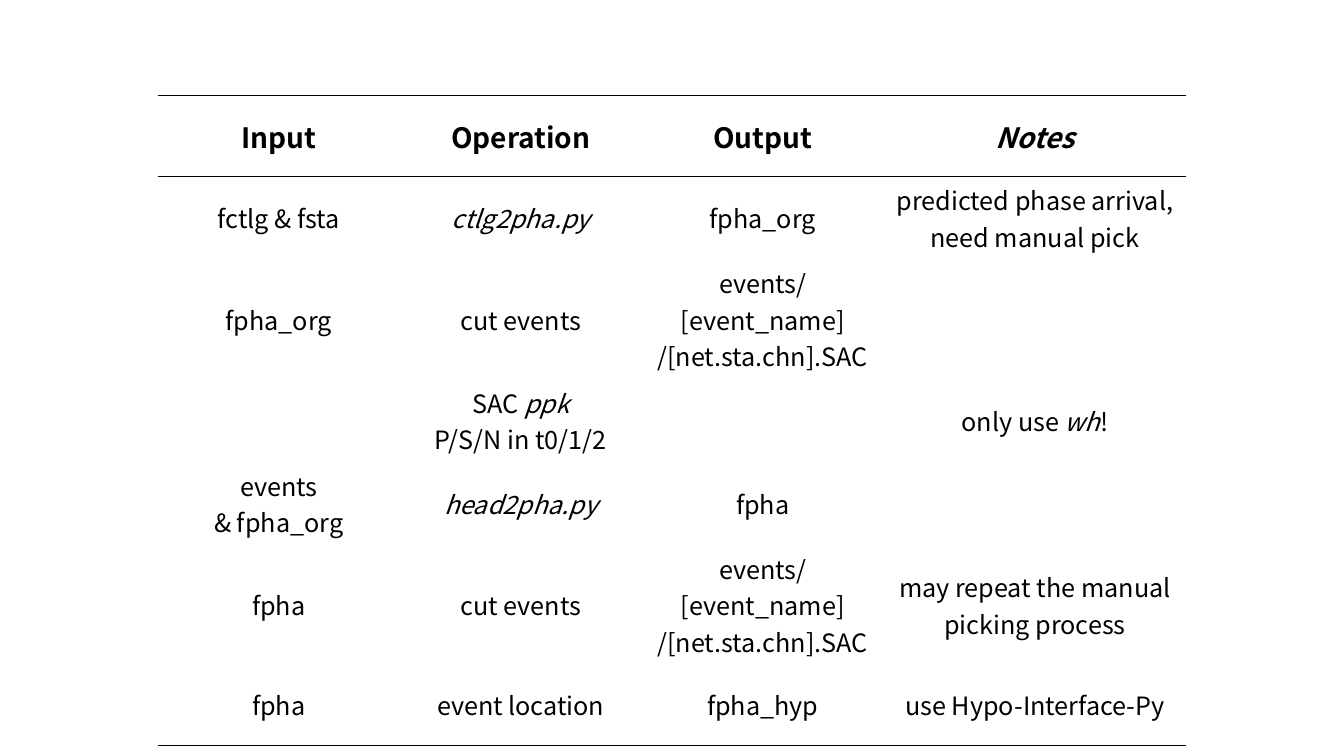
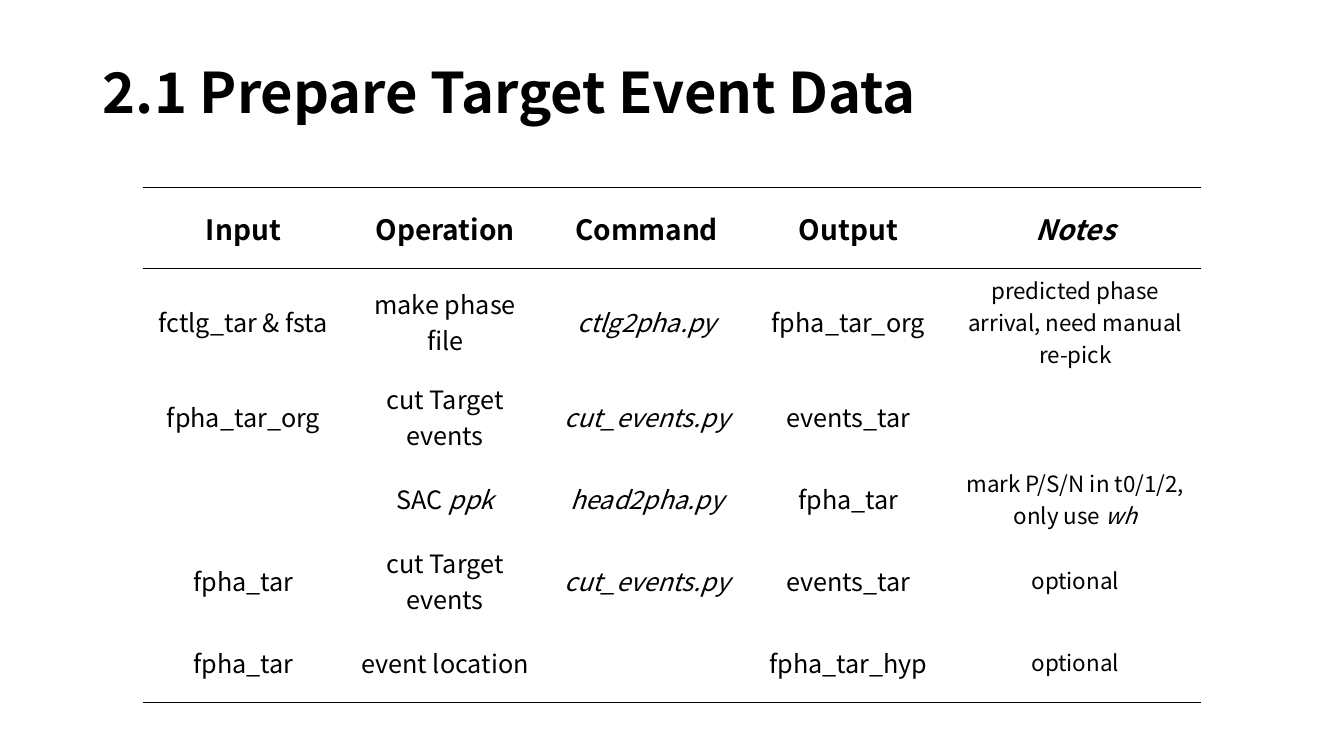
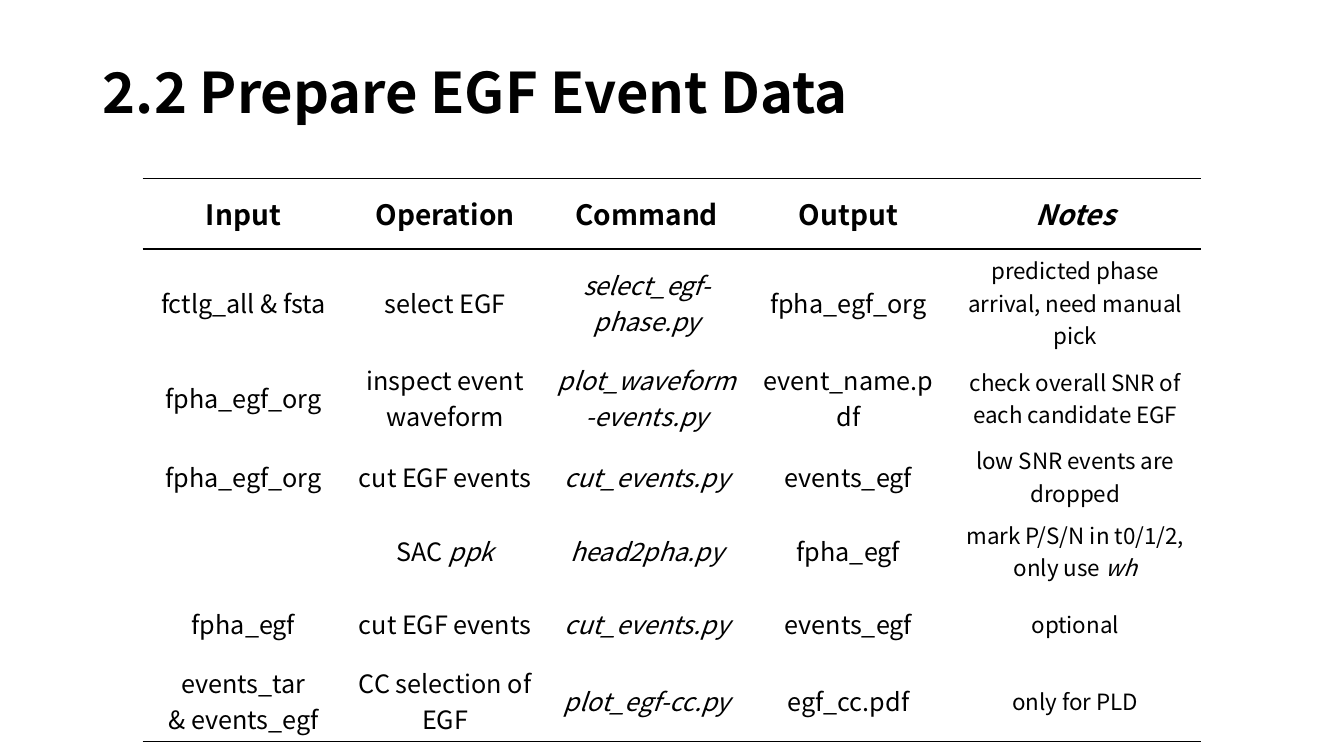
from pptx import Presentation
from pptx import util as u
from pptx.dml.color import RGBColor
from pptx.enum import text
from pptx.oxml import ns, xmlchemy

BLACK = RGBColor(0x00, 0x00, 0x00)
FONT = "Noto Sans CJK SC"
WIDTH, HEIGHT = 13.33, 7.5
TITLE_BOX = (0.92, 0.4, 11.5, 1.1)
TITLE_LAYOUT, BLANK_LAYOUT = 5, 6
TITLE_SIZE, HEAD_SIZE, BODY_SIZE = 40, 20, 18
RULE_WIDTH = u.Pt(1)

# Asterisks enclose italic words; a line break starts a new paragraph.
SLIDES = [
    {
        "title": None,
        "top": 0.95,
        "columns": [2.4, 2.4, 2.4, 3],
        "row_height": 0.8,
        "note_size": 18,
        "rows": [
            ("Input", "Operation", "Output", "*Notes*"),
            ("fctlg & fsta", "*ctlg2pha.py*", "fpha_org",
             "predicted phase arrival, need manual pick"),
            ("fpha_org", "cut events", "events/[event_name]\n/[net.sta.chn].SAC", ""),
            ("", "SAC *ppk*\nP/S/N in t0/1/2", "", "only use *wh*!"),
            ("events\n& fpha_org", "*head2pha.py*", "fpha", ""),
            ("fpha", "cut events", "events/[event_name]\n/[net.sta.chn].SAC",
             "may repeat the manual picking process"),
            ("fpha", "event location", "fpha_hyp", "use Hypo-Interface-Py"),
        ],
    },
    {
        "title": "2.1 Prepare Target Event Data",
        "top": 1.86,
        "columns": [2, 2, 2, 2, 2.5],
        "row_height": 0.8,
        "note_size": 16,
        "rows": [
            ("Input", "Operation", "Command", "Output", "*Notes*"),
            ("fctlg_tar & fsta", "make phase file", "*ctlg2pha.py*", "fpha_tar_org",
             "predicted phase arrival, need manual re-pick"),
            ("fpha_tar_org", "cut Target events", "*cut_events.py*", "events_tar", ""),
            ("", "SAC *ppk*", "*head2pha.py*", "fpha_tar",
             "mark P/S/N in t0/1/2,\nonly use *wh*"),
            ("fpha_tar", "cut Target events", "*cut_events.py*", "events_tar", "optional"),
            ("fpha_tar", "event location", "", "fpha_tar_hyp", "optional"),
        ],
    },
    {
        "title": "2.2 Prepare EGF Event Data",
        "top": 1.77,
        "columns": [2, 2, 2, 2, 2.5],
        "row_height": 0.7,
        "note_size": 16,
        "rows": [
            ("Input", "Operation", "Command", "Output", "*Notes*"),
            ("fctlg_all & fsta", "select EGF", "*select_egf-phase.py*", "fpha_egf_org",
             "predicted phase arrival, need manual pick"),
            ("fpha_egf_org", "inspect event waveform", "*plot_waveform-events.py*",
             "event_name.pdf", "check overall SNR of each candidate EGF"),
            ("fpha_egf_org", "cut EGF events", "*cut_events.py*", "events_egf",
             "low SNR events are dropped"),
            ("", "SAC *ppk*", "*head2pha.py*", "fpha_egf",
             "mark P/S/N in t0/1/2,\nonly use *wh*"),
            ("fpha_egf", "cut EGF events", "*cut_events.py*", "events_egf", "optional"),
            ("events_tar\n& events_egf", "CC selection of EGF", "*plot_egf-cc.py*",
             "egf_cc.pdf", "only for PLD"),
        ],
    },
]


def set_values(target, values):
    for name, value in values.items():
        setattr(target, name, value)


def write_text(frame, content, size, bold, para_format):
    for number, line in enumerate(content.split("\n")):
        para = frame.add_paragraph() if number else frame.paragraphs[0]
        set_values(para, para_format)
        set_values(para.font, {"size": u.Pt(size)})
        for part, words in enumerate(line.split("*")):
            if words:
                span = para.add_run()
                span.text = words
                set_values(span.font, {"name": FONT, "size": u.Pt(size),
                                       "bold": bold, "italic": part % 2 == 1})
                span.font.color.rgb = BLACK


def set_borders(cell, ruled_sides):
    properties = cell._tc.get_or_add_tcPr()
    for side in "LRTB":
        line = xmlchemy.OxmlElement(f"a:ln{side}")
        line.set("w", str(int(RULE_WIDTH)))
        if side in ruled_sides:
            fill = xmlchemy.OxmlElement("a:solidFill")
            color = xmlchemy.OxmlElement("a:srgbClr")
            color.set("val", str(BLACK))
            fill.append(color)
        else:
            fill = xmlchemy.OxmlElement("a:noFill")
        line.append(fill)
        properties.append(line)


def add_title(page, content):
    title = page.shapes.title
    set_values(title, dict(zip(("left", "top", "width", "height"),
                               map(u.Inches, TITLE_BOX))))
    set_values(title.text_frame, {"word_wrap": True,
                                  "auto_size": text.MSO_AUTO_SIZE.NONE,
                                  "vertical_anchor": text.MSO_ANCHOR.MIDDLE})
    write_text(title.text_frame, content, TITLE_SIZE, True,
               {"alignment": text.PP_ALIGN.LEFT, "line_spacing": 0.9})


def add_steps(page, slide):
    rows, columns = slide["rows"], slide["columns"]
    width = sum(columns)
    frame = page.shapes.add_table(
        len(rows), len(columns), u.Inches((WIDTH - width) / 2), u.Inches(slide["top"]),
        u.Inches(width), u.Inches(slide["row_height"] * len(rows)))
    table = frame.table
    set_values(table, {"first_row": False, "horz_banding": False})
    for column, column_width in zip(table.columns, columns):
        column.width = u.Inches(column_width)
    for row_number, row in enumerate(rows):
        table.rows[row_number].height = u.Inches(slide["row_height"])
        header = row_number == 0
        ruled_sides = ("T" if row_number <= 1 else "") + (
            "B" if header or row_number == len(rows) - 1 else "")
        for column_number, content in enumerate(row):
            cell = table.cell(row_number, column_number)
            note = column_number == len(columns) - 1
            size = HEAD_SIZE if header else slide["note_size"] if note else BODY_SIZE
            set_borders(cell, ruled_sides)
            cell.fill.background()
            cell.vertical_anchor = text.MSO_ANCHOR.MIDDLE
            write_text(cell.text_frame, content, size, header,
                       {"alignment": text.PP_ALIGN.CENTER})


def main():
    deck = Presentation()
    set_values(deck, {"slide_width": u.Inches(WIDTH), "slide_height": u.Inches(HEIGHT)})
    for slide in SLIDES:
        layout = TITLE_LAYOUT if slide["title"] else BLANK_LAYOUT
        page = deck.slides.add_slide(deck.slide_layouts[layout])
        if slide["title"]:
            add_title(page, slide["title"])
        add_steps(page, slide)
    deck.save("out.pptx")


if __name__ == "__main__":
    main()
